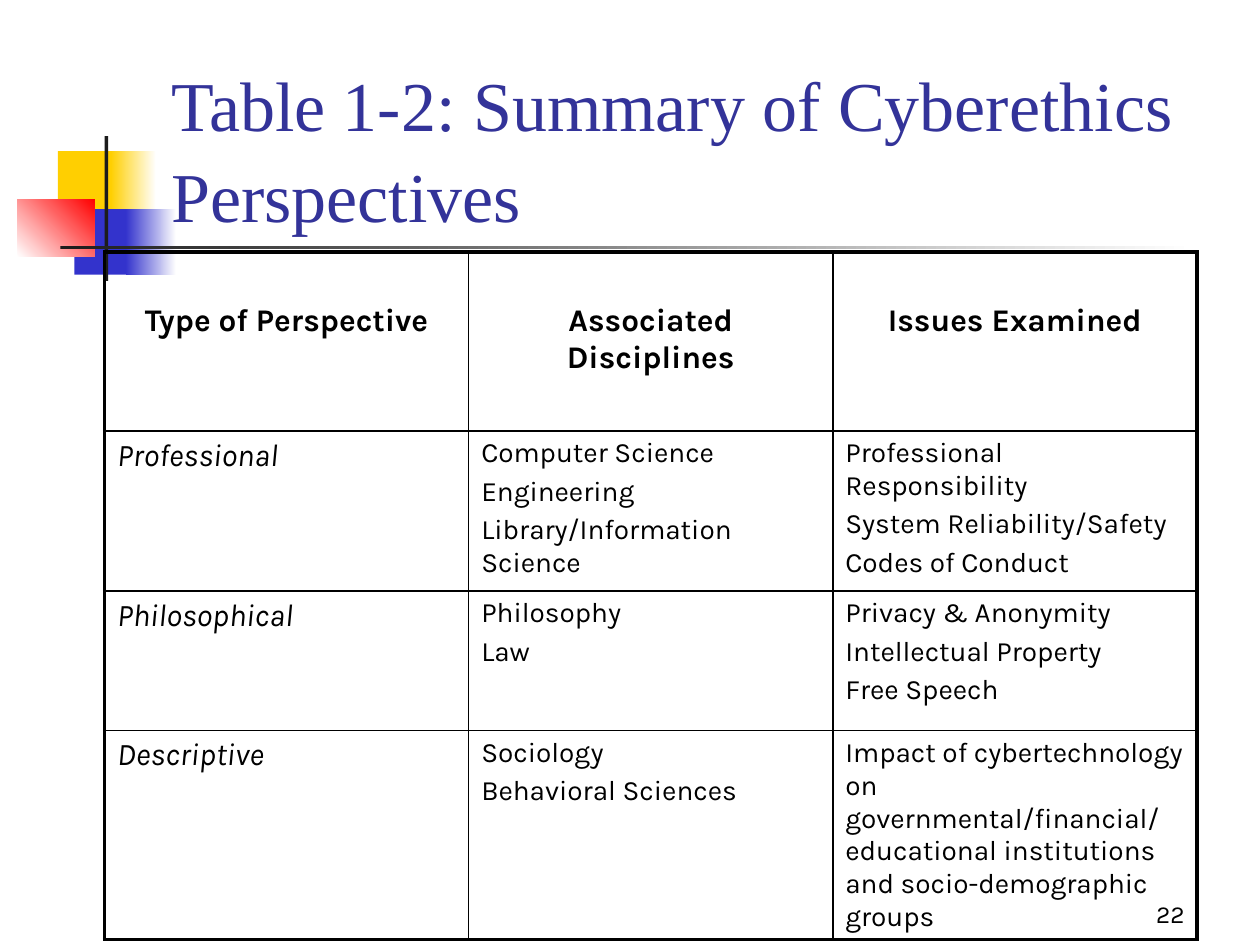
from lxml.etree import SubElement
from pptx import Presentation
from pptx.dml.color import RGBColor
from pptx.enum.shapes import MSO_SHAPE
from pptx.enum.text import MSO_ANCHOR, PP_ALIGN
from pptx.oxml.ns import qn
from pptx.util import Inches, Pt


def rgb(value):
    return RGBColor.from_string(value)


def set_borders(cell, widths):
    """Give the cell black borders; widths in points for left, right, top, bottom."""
    tcPr = cell._tc.get_or_add_tcPr()
    for i, (side, width) in enumerate(zip("LRTB", widths)):
        ln = tcPr.makeelement(qn(f"a:ln{side}"), {"w": str(Pt(width))})
        fill = SubElement(ln, qn("a:solidFill"))
        SubElement(fill, qn("a:srgbClr"), val="000000")
        tcPr.insert(i, ln)


prs = Presentation()
prs.slide_width, prs.slide_height = Inches(10), Inches(7.5)
s = prs.slides.add_slide(prs.slide_layouts[5])

# Decorative blocks: left, top, width, height, colours, gradient angle
blocks = [
    (0.46, 1.2, 0.48, 0.52, ["FFCF01"], 0),
    (0.88, 1.2, 0.36, 0.52, ["FFCF01", "FFFFFF"], 0),
    (0.59, 1.66, 0.46, 0.52, ["3333CC"], 0),
    (1, 1.66, 0.4, 0.52, ["3333CC", "FFFFFF"], 0),
    (0.14, 1.58, 0.61, 0.46, ["FFFFFF", "FF0000"], 45),
    (0.83, 1.08, 0.03, 1.15, ["1C1C1C"], 0),
    (0.48, 1.95, 9, 0.03, ["1C1C1C", "FFFFFF"], 0),
]
for *box, colors, angle in blocks:
    sp = s.shapes.add_shape(MSO_SHAPE.RECTANGLE, *map(Inches, box))
    sp.shadow.inherit = False
    sp.line.fill.background()
    if len(colors) == 1:
        sp.fill.solid()
        sp.fill.fore_color.rgb = rgb(colors[0])
    else:
        sp.fill.gradient()
        sp.fill.gradient_angle = angle
        for stop, color, position in zip(sp.fill.gradient_stops, colors, (0, 1)):
            stop.color.rgb = rgb(color)
            stop.position = position

# Title, in front of the blocks
title = s.shapes.title
title.left, title.top = Inches(1.26), Inches(0.68)
title.width, title.height = Inches(8.52), Inches(1.25)
s.shapes._spTree.append(title._element)
tf = title.text_frame
tf.text = "Table 1-2: Summary of Cyberethics Perspectives"
tf.vertical_anchor = MSO_ANCHOR.BOTTOM
p = tf.paragraphs[0]
p.alignment = PP_ALIGN.LEFT
p.line_spacing = Pt(52)
p.font.name, p.font.size = "Times New Roman", Pt(40)
p.font.color.rgb = rgb("333399")

# Table: one string per cell, one line per paragraph
rows = [
    ("Type of Perspective", "Associated Disciplines", "Issues Examined"),
    ("Professional",
     "Computer Science\nEngineering\nLibrary/Information Science",
     "Professional Responsibility\nSystem Reliability/Safety\nCodes of Conduct"),
    ("Philosophical",
     "Philosophy\nLaw",
     "Privacy & Anonymity\nIntellectual Property\nFree Speech"),
    ("Descriptive",
     "Sociology\nBehavioral Sciences",
     "Impact of cybertechnology on governmental/financial/ educational "
     "institutions and socio-demographic groups"),
]
heights = [1.42, 1.27, 1.11, 1.17]
THIN, THICK = 1, 2.25
last_row, last_col = len(rows) - 1, len(rows[0]) - 1

table = s.shapes.add_table(len(rows), len(rows[0]), Inches(0.83), Inches(2),
                           Inches(8.67), Inches(sum(heights))).table
table.first_row = table.horz_banding = False
for r, (texts, height) in enumerate(zip(rows, heights)):
    table.rows[r].height = Inches(height)
    for c, text in enumerate(texts):
        cell = table.cell(r, c)
        cell.text = text
        cell.fill.background()
        if r == 0:
            cell.margin_top = Inches(0.4)
        set_borders(cell, [THICK if edge else THIN for edge in
                           (c == 0, c == last_col, r == 0, r == last_row)])
        for p in cell.text_frame.paragraphs:
            p.alignment = PP_ALIGN.CENTER if r == 0 else PP_ALIGN.LEFT
            p.space_before = Pt(3.2)
            p.font.name = "Karla"
            p.font.size = Pt(18 if r == 0 or c == 0 else 16)
            p.font.bold = r == 0
            p.font.italic = r > 0 and c == 0
            p.font.color.rgb = rgb("000000")

# Slide number
sp = s.shapes.add_textbox(Inches(7.42), Inches(6.92), Inches(2.08), Inches(0.5))
tf = sp.text_frame
tf.word_wrap = True
tf.vertical_anchor = MSO_ANCHOR.BOTTOM
tf.text = "22"
p = tf.paragraphs[0]
p.alignment = PP_ALIGN.RIGHT
p.font.name, p.font.size = "Karla", Pt(14)
p.font.color.rgb = rgb("000000")

prs.save("out.pptx")
